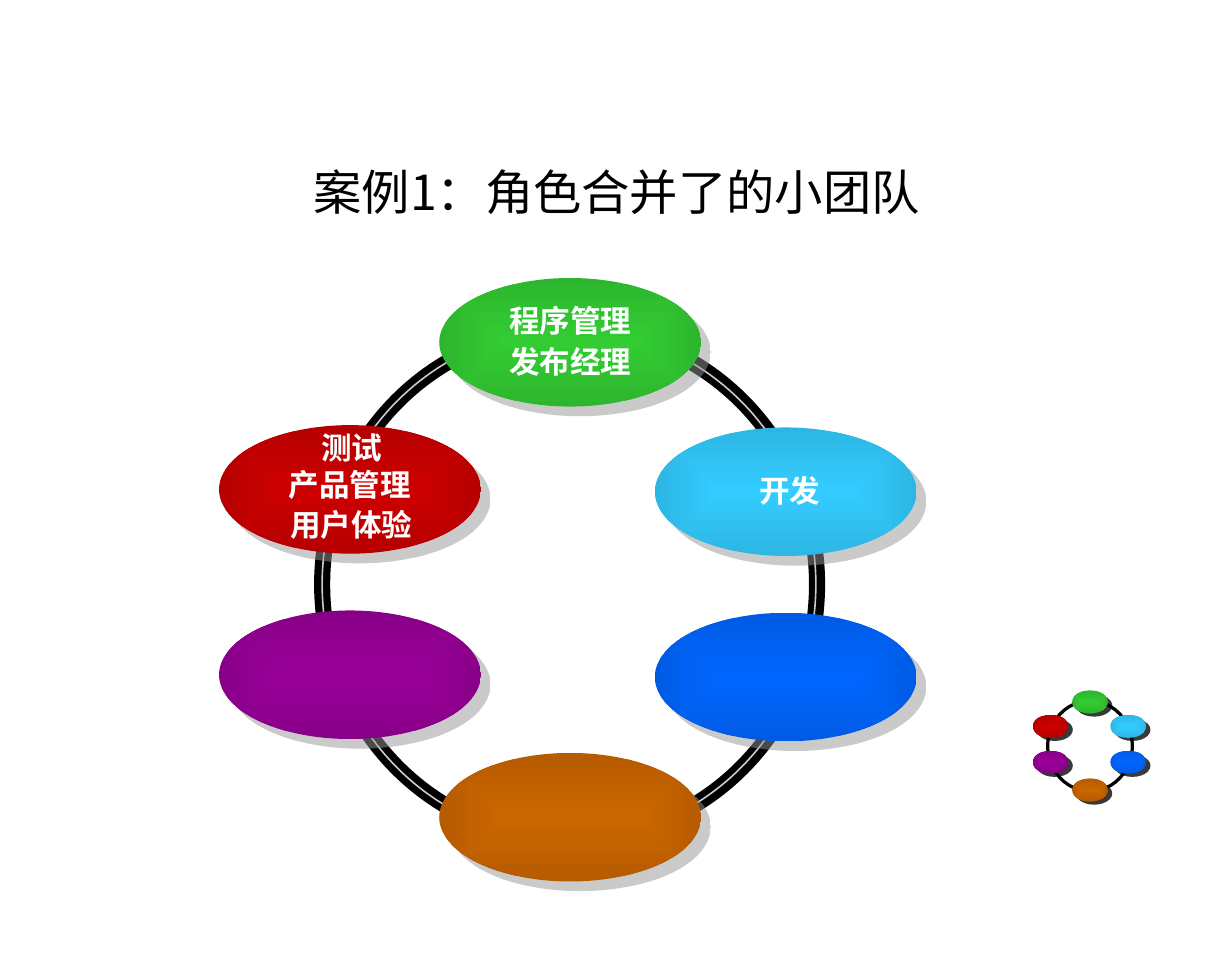
from typing import NamedTuple

from lxml.etree import SubElement
from pptx import Presentation
from pptx.dml.color import RGBColor
from pptx.enum.shapes import MSO_SHAPE
from pptx.enum.text import MSO_ANCHOR, MSO_AUTO_SIZE, PP_ALIGN
from pptx.oxml.ns import qn
from pptx.shapes.autoshape import Shape
from pptx.shapes.shapetree import GroupShapes
from pptx.util import Emu, Pt

SCALE = 9144  # EMU per px, 100 px to the inch

BLACK = RGBColor(0x00, 0x00, 0x00)
WHITE = RGBColor(0xFF, 0xFF, 0xFF)
SILVER = RGBColor(0xCB, 0xCB, 0xCB)
DARK = RGBColor(0x39, 0x39, 0x39)
SHADE = RGBColor(0x96, 0x96, 0x96)

HAN = "Noto Sans CJK SC"
NARROW = "Arial Narrow"


class Tint(NamedTuple):
    core: RGBColor
    rim: RGBColor


GREEN = Tint(RGBColor(0x33, 0xCC, 0x33), RGBColor(0x2D, 0xB6, 0x2D))
CYAN = Tint(RGBColor(0x33, 0xCC, 0xFF), RGBColor(0x2D, 0xB6, 0xE4))
BLUE = Tint(RGBColor(0x00, 0x66, 0xFF), RGBColor(0x00, 0x5B, 0xE4))
ORANGE = Tint(RGBColor(0xCC, 0x66, 0x00), RGBColor(0xB6, 0x5B, 0x00))
PURPLE = Tint(RGBColor(0x99, 0x00, 0x99), RGBColor(0x88, 0x00, 0x88))
RED = Tint(RGBColor(0xCC, 0x00, 0x00), RGBColor(0xB6, 0x00, 0x00))


class Box(NamedTuple):
    left: int
    top: int
    width: int
    height: int

    def emu(self) -> list[Emu]:
        return [Emu(side * SCALE) for side in self]


class Role(NamedTuple):
    tint: Tint
    left: int
    top: int


class Label(NamedTuple):
    text: str
    box: Box
    space: float


ROLES = [
    Role(GREEN, 379, 240),
    Role(CYAN, 565, 369),
    Role(BLUE, 565, 529),
    Role(ORANGE, 379, 650),
    Role(PURPLE, 189, 527),
    Role(RED, 189, 367),
]
LABELS = [
    Label("开发", Box(643, 405, 77, 41), 0.9),
    Label("程序管理", Box(427, 258, 130, 41), 0.9),
    Label("发布经理", Box(427, 295, 130, 40), 0.85),
    Label("测试", Box(265, 369, 77, 40), 0.85),
    Label("产品管理", Box(237, 401, 130, 40), 0.85),
    Label("用户体验", Box(238, 434, 130, 41), 0.9),
]
DOTS = [
    Role(GREEN, 925, 596),
    Role(ORANGE, 925, 672),
    Role(CYAN, 958, 617),
    Role(RED, 891, 617),
    Role(BLUE, 958, 648),
    Role(PURPLE, 891, 648),
]


def oval(group: GroupShapes, box: Box) -> Shape:
    shape = group.add_shape(MSO_SHAPE.OVAL, *box.emu())
    shape.shadow.inherit = False
    shape.fill.background()
    shape.line.fill.background()
    return shape


def ring(group: GroupShapes, box: Box, color: RGBColor, weight: int) -> Shape:
    shape = oval(group, box)
    shape.line.color.rgb = color
    shape.line.width = Pt(weight)
    return shape


def glow(shape: Shape, tint: Tint) -> None:
    """Fill from the core colour at the centre to the rim colour."""
    shape.fill.gradient()
    for stop, color, place in zip(shape.fill.gradient_stops, tint, (0, 1)):
        stop.color.rgb = color
        stop.position = place
    grad = shape._element.spPr.find(qn("a:gradFill"))
    grad.remove(grad.find(qn("a:lin")))
    route = SubElement(grad, qn("a:path"), path="rect")
    SubElement(route, qn("a:fillToRect"), l="50000", t="50000", r="50000", b="50000")


def shade(shape: Shape) -> None:
    """Cast a half-transparent shadow to the lower right."""
    effects = shape._element.spPr.find(qn("a:effectLst"))
    cast = SubElement(effects, qn("a:outerShdw"), dist=str(Pt(8.5)),
                      dir="2700000", algn="ctr", rotWithShape="0")
    color = SubElement(cast, qn("a:srgbClr"), val=str(SHADE))
    SubElement(color, qn("a:alpha"), val="50000")


def write(group: GroupShapes, label: Label, font: str, size: int,
          color: RGBColor, bold: bool, pad: tuple[int, int]) -> Shape:
    shape = group.add_textbox(*label.box.emu())
    frame = shape.text_frame
    frame.margin_left = frame.margin_right = Emu(pad[0] * SCALE)
    frame.margin_top = frame.margin_bottom = Emu(pad[1] * SCALE)
    frame.word_wrap = False
    para = frame.paragraphs[0]
    para.alignment = PP_ALIGN.CENTER
    para.line_spacing = label.space
    run = para.add_run()
    run.text = label.text
    run.font.name = font
    run.font.size = Pt(size)
    run.font.bold = bold
    run.font.color.rgb = color
    SubElement(run._r.get_or_add_rPr(), qn("a:ea"), typeface=HAN)
    return shape


def main() -> None:
    deck = Presentation()
    deck.slide_width = Emu(1063 * SCALE)
    deck.slide_height = Emu(827 * SCALE)
    slide = deck.slides.add_slide(deck.slide_layouts[6])

    # Title
    head = Label("案例1：角色合并了的小团队", Box(80, 119, 904, 92), 1.0)
    title = write(slide.shapes, head, HAN, 30, BLACK, False, (11, 5))
    title.text_frame.word_wrap = True
    title.text_frame.vertical_anchor = MSO_ANCHOR.MIDDLE

    # Team wheel
    wheel = slide.shapes.add_group_shape().shapes
    ring(wheel, Box(278, 284, 427, 441), BLACK, 10)
    ring(wheel, Box(278, 284, 426, 441), SILVER, 1)
    for role in ROLES:
        node = oval(wheel, Box(role.left, role.top, 226, 111))
        glow(node, role.tint)
        shade(node)
    for label in LABELS:
        text = write(wheel, label, NARROW, 19, WHITE, True, (12, 6))
        text.text_frame.auto_size = MSO_AUTO_SIZE.SHAPE_TO_FIT_TEXT

    # Small wheel: dark backs, ring, coloured dots
    small = slide.shapes.add_group_shape().shapes
    for dot in DOTS:
        back = ring(small, Box(dot.left + 4, dot.top + 4, 30, 18), DARK, 1)
        back.fill.solid()
        back.fill.fore_color.rgb = DARK
    ring(small, Box(904, 605, 73, 78), BLACK, 2)
    for dot in DOTS:
        glow(oval(small, Box(dot.left, dot.top, 31, 20)), dot.tint)

    deck.save("out.pptx")


if __name__ == "__main__":
    main()
